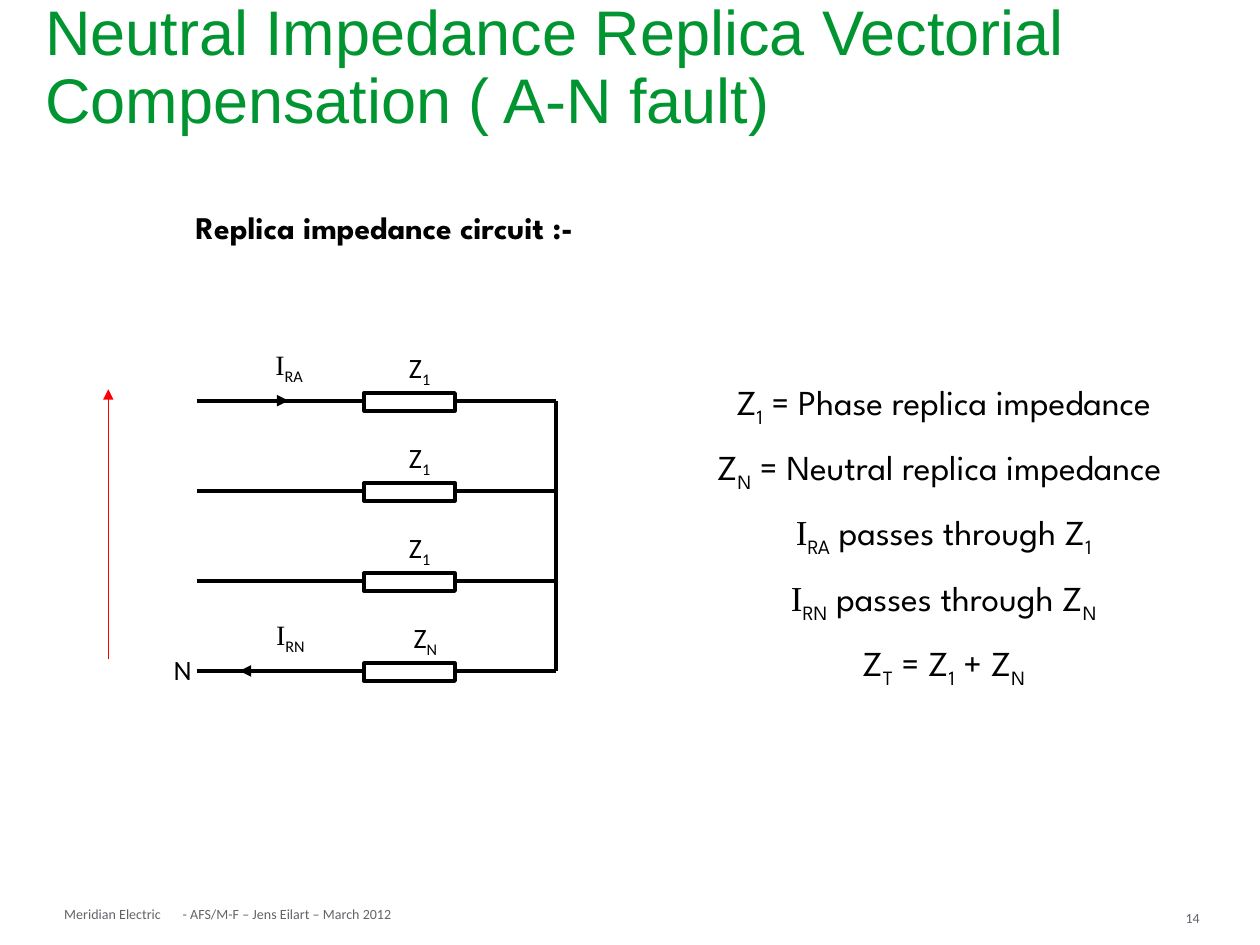
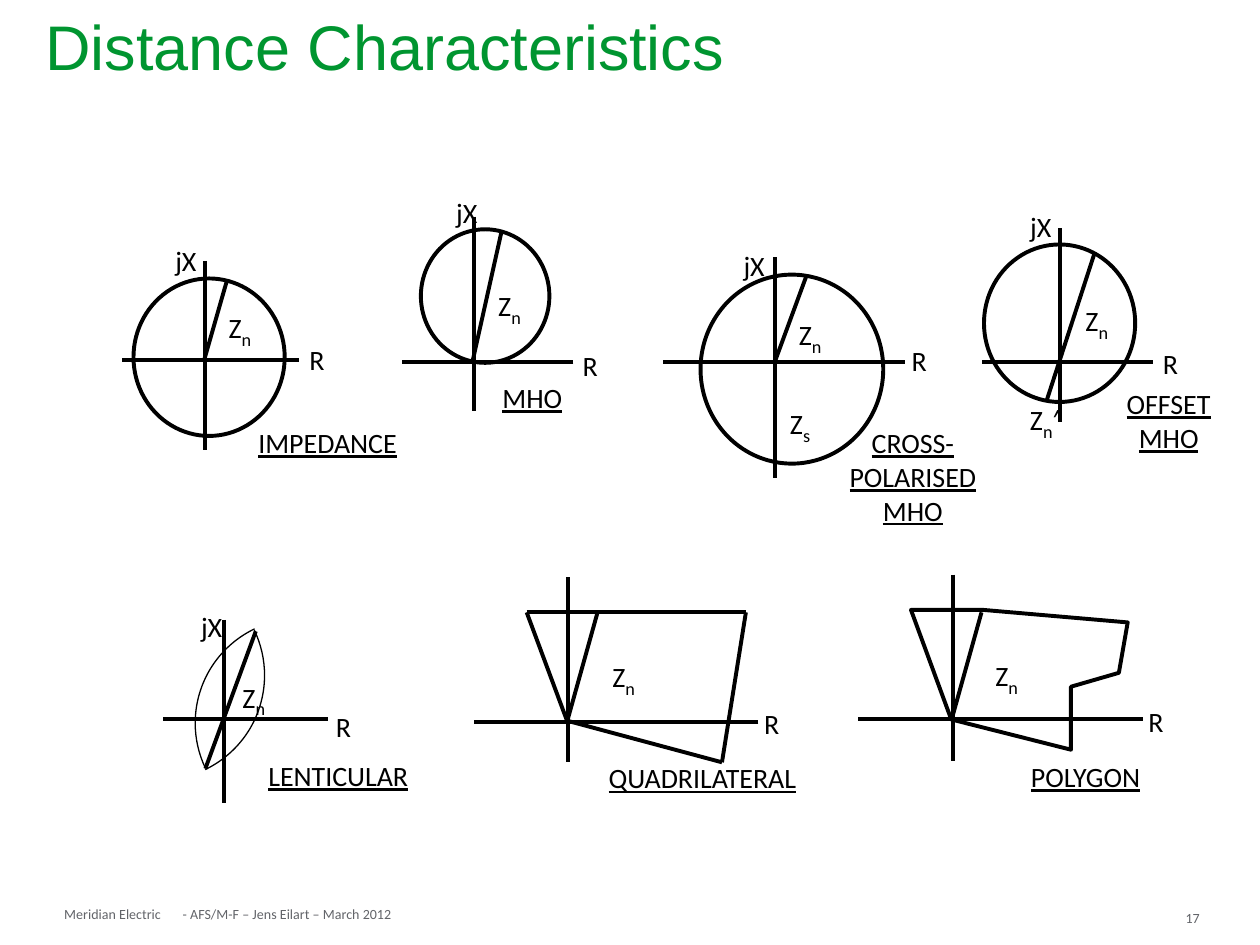
from lxml.etree import SubElement
from pptx import Presentation
from pptx.dml.color import RGBColor
from pptx.enum.shapes import MSO_CONNECTOR, MSO_SHAPE
from pptx.enum.text import MSO_ANCHOR, PP_ALIGN
from pptx.oxml.ns import qn
from pptx.util import Inches, Pt

GREEN = RGBColor(0x00, 0x95, 0x30)
GREY = RGBColor(0x62, 0x64, 0x69)
BLACK = RGBColor(0x00, 0x00, 0x00)
WHITE = RGBColor(0xFF, 0xFF, 0xFF)
RED = RGBColor(0xFF, 0x00, 0x00)

BODY, TITLE, DISPLAY, SYMBOL = "Calibri", "Arial", "League Spartan", "Times New Roman"


class Deck:
    """Holds the style and the current slide."""

    def __init__(self):
        self.prs = Presentation()
        self.prs.slide_width, self.prs.slide_height = Inches(10), Inches(7.5)
        self.s = None

    def new_slide(self, title, title_height, number):
        self.s = self.prs.slides.add_slide(self.prs.slide_layouts[6])
        # Footer
        footer = dict(size=8, color=GREY, align=PP_ALIGN.LEFT)
        self.text("Meridian Electric", 0.51, 7.19, 0.88, 0.13, wrap=False, **footer)
        self.text(number, 9.41, 7.22, 0.32, 0.08, **footer)
        self.text("- AFS/M-F – Jens Eilart – March 2012", 1.45, 7.19, 1.75, 0.13,
                  wrap=False, **footer)
        # Title
        tf = self.text(title, 0.26, 0.08, 9.44, title_height, size=36, font=TITLE,
                       color=GREEN, align=PP_ALIGN.LEFT, inset=(0.1, 0.05))
        tf.vertical_anchor = MSO_ANCHOR.MIDDLE
        tf.paragraphs[0].line_spacing = 0.9

    def text(self, text, x, y, w, h, size=16, font=BODY, color=BLACK,
             align=PP_ALIGN.CENTER, inset=(0, 0), wrap=True, bold=False,
             underline=False, sub_size=None, space_pct=0):
        """Write lines of text; parts between underscores are subscripts."""
        tf = self.s.shapes.add_textbox(Inches(x), Inches(y), Inches(w), Inches(h)).text_frame
        tf.word_wrap = wrap
        tf.margin_left = tf.margin_right = Inches(inset[0])
        tf.margin_top = tf.margin_bottom = Inches(inset[1])
        for i, line in enumerate(text.split("\n")):
            p = tf.add_paragraph() if i else tf.paragraphs[0]
            p.alignment = align
            if space_pct:
                before = SubElement(p._p.get_or_add_pPr(), qn("a:spcBef"))
                SubElement(before, qn("a:spcPct"), val=str(space_pct * 1000))
            for j, part in enumerate(line.split("_")):
                if not part:
                    continue
                r = p.add_run()
                r.text = part
                is_sub = j % 2 == 1
                r.font.name = SYMBOL if part == "I" else font
                r.font.size = Pt(sub_size if is_sub and sub_size else size)
                r.font.color.rgb = color
                r.font.bold, r.font.underline = bold, underline
                if is_sub:
                    r.font._element.set("baseline", "-25000")
        return tf

    def line(self, x1, y1, x2, y2, color=BLACK, width=2.25, arrow=False):
        cn = self.s.shapes.add_connector(MSO_CONNECTOR.STRAIGHT, Inches(x1), Inches(y1),
                                         Inches(x2), Inches(y2))
        cn.line.color.rgb = color
        cn.line.width = Pt(width)
        if arrow:
            SubElement(cn.line._get_or_add_ln(), qn("a:tailEnd"), type="triangle")
        SubElement(cn._element.spPr, qn("a:effectLst"))

    def outline(self, sp, width=2.25, fill=None):
        sp.shadow.inherit = False
        if fill is None:
            sp.fill.background()
        else:
            sp.fill.solid()
            sp.fill.fore_color.rgb = fill
        sp.line.color.rgb = BLACK
        sp.line.width = Pt(width)

    def shape(self, kind, x, y, w, h, width=2.25, fill=None):
        sp = self.s.shapes.add_shape(kind, Inches(x), Inches(y), Inches(w), Inches(h))
        self.outline(sp, width, fill)
        return sp

    def arc(self, cx, cy, radius, start, end):
        sp = self.shape(MSO_SHAPE.ARC, cx - radius, cy - radius, 2 * radius, 2 * radius, 0.75)
        for i, degrees in enumerate((start, end)):
            sp.adjustments[i] = degrees * 0.6  # 60000 units a degree, scaled by 100000

    def polygon(self, points):
        corners = [(Inches(x), Inches(y)) for x, y in points]
        fb = self.s.shapes.build_freeform(*corners[0])
        fb.add_line_segments(corners[1:], close=True)
        self.outline(fb.convert_to_shape())

    def characteristic(self, caption, vertical, horizontal, reach, labels, circle=None):
        """Draw R and jX axes, the reach line, labels and an optional circle."""
        x, top, bottom = vertical
        y, left, right = horizontal
        self.line(x, top, x, bottom)
        self.line(right, y, left, y)
        self.line(*reach)
        if circle:
            self.shape(MSO_SHAPE.OVAL, *circle)
        self.text(*caption, underline=True)
        for label in labels:
            self.text(*label, sub_size=18)


def replica_slide(deck):
    deck.new_slide("Neutral Impedance Replica Vectorial Compensation ( A-N fault)", 0.94, "14")
    deck.text("Replica impedance circuit :- ", 0.6, 1.6, 4.97, 0.5, size=18, font=DISPLAY,
              bold=True, inset=(0.1, 0.05), space_pct=50)

    # Conductors with their impedances
    first, pitch, bus_x = 3.18, 0.715, 4.41
    rows = [first + pitch * i for i in range(4)]
    for y, name, width in zip(rows, ("Z_1_", "Z_1_", "Z_1_", "Z_N_"), (0.52, 0.52, 0.52, 0.61)):
        deck.line(1.56, y, bus_x, y)
        deck.shape(MSO_SHAPE.RECTANGLE, 2.89, y - 0.06, 0.72, 0.14, fill=WHITE)
        deck.text(name, 3.07, y - 0.41, width, 0.45, inset=(0.01, 0.01))
    deck.line(bus_x, rows[0], bus_x, rows[-1])

    # Currents, neutral and voltage arrow
    deck.line(1.75, rows[0], 2.29, rows[0], arrow=True)
    deck.line(2.44, rows[-1], 1.9, rows[-1], arrow=True)
    deck.line(0.86, 5.23, 0.86, 3.09, color=RED, width=0.75, arrow=True)
    for label in (("I_RA_", 1.95, 2.75, 0.69, 0.57), ("I_RN_", 1.96, 4.89, 0.69, 0.46),
                  ("N", 1.26, 5.17, 0.38, 0.43)):
        deck.text(*label, inset=(0.01, 0.01))

    # Legend
    deck.text("Z_1_ = Phase replica impedance\n"
              "Z_N_ = Neutral replica impedance \n"
              "I_RA_ passes through Z_1_\n"
              "I_RN_ passes through Z_N_\n"
              "Z_T_ = Z_1_ + Z_N_",
              5.13, 2.97, 4.72, 2.43, size=20, font=DISPLAY, inset=(0.1, 0.05), space_pct=50)


def characteristics_slide(deck):
    deck.new_slide("Distance Characteristics", 0.64, "17")

    # Circular characteristics
    deck.characteristic(
        ("IMPEDANCE", 1.96, 3.38, 1.28, 0.34),
        (1.63, 2.07, 3.57), (2.86, 0.97, 2.37), (1.8, 2.23, 1.62, 2.86),
        [("jX", 1.32, 1.93, 0.31, 0.33), ("Z_n_", 1.74, 2.44, 0.33, 0.33),
         ("R", 2.39, 2.72, 0.25, 0.25)],
        circle=(1.06, 2.21, 1.2, 1.25))
    deck.characteristic(
        ("MHO", 3.92, 3.02, 0.61, 0.25),
        (3.76, 1.72, 3.26), (2.87, 3.19, 4.55), (3.98, 1.84, 3.75, 2.87),
        [("jX", 3.52, 1.55, 0.37, 0.37), ("Z_n_", 3.91, 2.26, 0.27, 0.26),
         ("R", 4.58, 2.77, 0.21, 0.24)],
        circle=(3.34, 1.82, 1.02, 1.06))
    deck.characteristic(
        ("CROSS-\nPOLARISED\nMHO", 6.32, 3.38, 1.85, 0.48),
        (6.15, 2.04, 3.79), (2.87, 5.26, 7.18), (6.4, 2.19, 6.15, 2.87),
        [("jX", 5.84, 1.97, 0.29, 0.25), ("Z_n_", 6.3, 2.49, 0.26, 0.21),
         ("Z_s_", 6.18, 3.2, 0.34, 0.26), ("R", 7.23, 2.73, 0.13, 0.21)],
        circle=(5.56, 2.18, 1.45, 1.5))
    deck.characteristic(
        ("OFFSET\nMHO", 8.84, 3.07, 0.87, 0.33),
        (8.41, 1.81, 3.35), (2.87, 7.79, 9.15), (8.69, 2, 8.31, 3.17),
        [("jX", 8.13, 1.66, 0.26, 0.27), ("Z_n_", 8.58, 2.38, 0.25, 0.27),
         ("Z_n_′", 8.09, 3.17, 0.4, 0.35), ("R", 9.23, 2.75, 0.12, 0.15)],
        circle=(7.81, 1.94, 1.2, 1.25))

    # Lens made of two arcs
    deck.characteristic(
        ("LENTICULAR", 2.01, 6.02, 1.35, 0.25),
        (1.78, 4.92, 6.37), (5.71, 1.29, 2.6), (2.03, 5.01, 1.63, 6.1),
        [("jX", 1.53, 4.84, 0.3, 0.31), ("Z_n_", 1.88, 5.37, 0.27, 0.26),
         ("R", 2.65, 5.63, 0.15, 0.22)])
    deck.arc(2.38, 5.74, 0.83, 154.4, 244.4)
    deck.arc(1.27, 5.36, 0.83, 334.4, 64.4)

    # Straight-sided characteristics
    deck.characteristic(
        ("QUADRILATERAL", 4.55, 6.04, 2.05, 0.27),
        (4.51, 4.58, 6.05), (5.73, 3.76, 6.02), (4.74, 4.87, 4.5, 5.73),
        [("Z_n_", 4.67, 5.21, 0.56, 0.34), ("R", 6.03, 5.61, 0.19, 0.21)])
    corners = [(4.5, 5.72), (4.18, 4.86), (5.92, 4.86), (5.73, 6.05)]
    for start, end in zip(corners, corners[1:] + corners[:1]):
        deck.line(*start, *end)
    deck.characteristic(
        ("POLYGON", 7.59, 6.03, 2.05, 0.27),
        (7.56, 4.56, 6.04), (5.71, 6.81, 9.07), (7.79, 4.86, 7.55, 5.72),
        [("Z_n_", 7.71, 5.2, 0.56, 0.34), ("R", 9.08, 5.59, 0.19, 0.21)])
    deck.polygon([(7.55, 5.71), (7.23, 4.84), (7.8, 4.84), (8.95, 4.94),
                  (8.88, 5.34), (8.5, 5.45), (8.5, 5.95)])


def main():
    deck = Deck()
    replica_slide(deck)
    characteristics_slide(deck)
    deck.prs.save("out.pptx")


if __name__ == "__main__":
    main()
